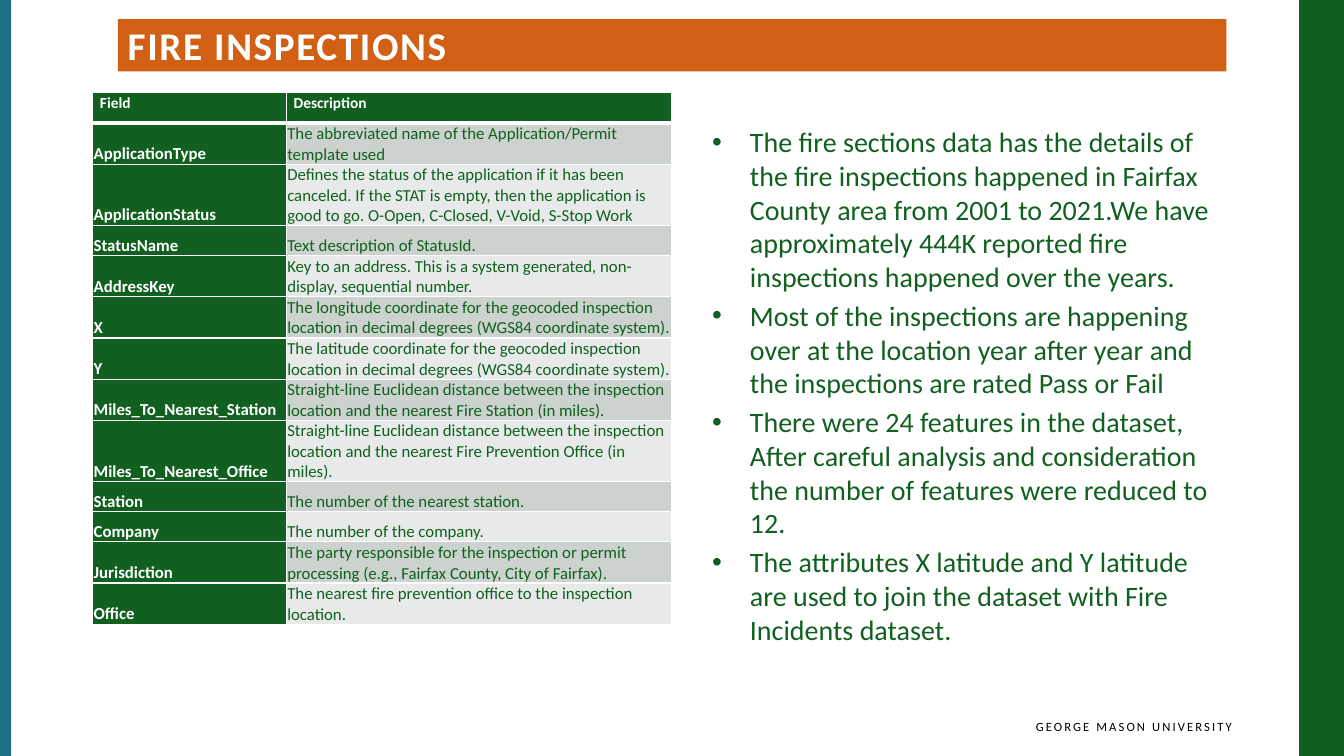
"""Build the Fire Inspections slide: field table on the left, findings on the right."""
from dataclasses import dataclass

from lxml.etree import SubElement
from pptx import Presentation
from pptx.dml.color import RGBColor
from pptx.enum.shapes import MSO_SHAPE
from pptx.enum.text import MSO_ANCHOR, PP_ALIGN
from pptx.oxml.ns import qn
from pptx.util import Cm, Pt

GREEN, TEAL, ORANGE, WHITE, BLACK = "116020", "1E6E86", "D26014", "FFFFFF", "000000"
BANDS = ("CCD2CD", "E7EAE8")


@dataclass
class Box:
    left: float
    top: float
    width: float
    height: float

    def place(self) -> tuple:
        return Cm(self.left), Cm(self.top), Cm(self.width), Cm(self.height)


@dataclass
class Style:
    size: float
    color: str
    bold: bool = False
    spacing: int = 0


@dataclass
class Field:
    name: str
    description: str


FIELDS = [
    Field("ApplicationType", "The abbreviated name of the Application/Permit template used"),
    Field("ApplicationStatus", "Defines the status of the application if it has been canceled. "
          "If the STAT is empty, then the application is good to go. "
          "O-Open, C-Closed, V-Void, S-Stop Work"),
    Field("StatusName", "Text description of StatusId."),
    Field("AddressKey", "Key to an address. This is a system generated, non-display, "
          "sequential number."),
    Field("X", "The longitude coordinate for the geocoded inspection location in decimal "
          "degrees (WGS84 coordinate system)."),
    Field("Y", "The latitude coordinate for the geocoded inspection location in decimal "
          "degrees (WGS84 coordinate system)."),
    Field("Miles_To_Nearest_Station", "Straight-line Euclidean distance between the inspection "
          "location and the nearest Fire Station (in miles)."),
    Field("Miles_To_Nearest_Office", "Straight-line Euclidean distance between the inspection "
          "location and the nearest Fire Prevention Office (in miles)."),
    Field("Station", "The number of the nearest station."),
    Field("Company", "The number of the company."),
    Field("Jurisdiction", "The party responsible for the inspection or permit processing "
          "(e.g., Fairfax County, City of Fairfax)."),
    Field("Office", "The nearest fire prevention office to the inspection location."),
]

FINDINGS = [
    "The fire sections data has the details of the fire inspections happened in Fairfax County "
    "area from 2001 to 2021.We have approximately 444K reported fire inspections happened over "
    "the years.",
    "Most of the inspections are happening over at the location year after year and the "
    "inspections are rated Pass or Fail",
    "There were 24 features in the dataset, After careful analysis and consideration the number "
    "of features were reduced to 12.",
    "The attributes X latitude and Y latitude are used to join the dataset with Fire Incidents "
    "dataset.",
]


def rgb(color: str) -> RGBColor:
    return RGBColor.from_string(color)


def add_run(p, text: str, style: Style) -> None:
    r = p.add_run()
    r.text = text
    r.font.name = "Calibri"
    r.font.size = Pt(style.size)
    r.font.bold = style.bold
    r.font.color.rgb = rgb(style.color)
    if style.spacing:
        r.font._element.set("spc", str(style.spacing))


def add_bar(s, box: Box, color: str):
    sp = s.shapes.add_shape(MSO_SHAPE.RECTANGLE, *box.place())
    sp.shadow.inherit = False
    sp.fill.solid()
    sp.fill.fore_color.rgb = rgb(color)
    sp.line.fill.background()
    return sp


def add_text(s, box: Box):
    tf = s.shapes.add_textbox(*box.place()).text_frame
    tf.word_wrap = True
    return tf


def add_title(s, text: str) -> None:
    tf = add_bar(s, Box(2.97, 0.48, 27.94, 1.32), ORANGE).text_frame
    tf.word_wrap = True
    tf.margin_top = tf.margin_bottom = 0
    tf.vertical_anchor = MSO_ANCHOR.MIDDLE
    p = tf.paragraphs[0]
    p.alignment = PP_ALIGN.LEFT
    add_run(p, text, Style(28, WHITE, True, 120))


def add_footer(s, text: str) -> None:
    tf = add_text(s, Box(17.22, 17.98, 13.82, 0.84))
    tf.margin_right = 0
    p = tf.paragraphs[0]
    p.alignment = PP_ALIGN.RIGHT
    add_run(p, text, Style(9, BLACK, spacing=150))


def add_findings(s, findings: list[str]) -> None:
    tf = add_text(s, Box(17.7, 3.02, 13.21, 16.05))
    for i, text in enumerate(findings):
        p = tf.add_paragraph() if i else tf.paragraphs[0]
        pPr = p._p.get_or_add_pPr()
        pPr.set("marL", str(Cm(0.95)))
        pPr.set("indent", str(-Cm(0.95)))
        SubElement(pPr, qn("a:buFont"), typeface="Arial")
        SubElement(pPr, qn("a:buChar"), char="•")
        p.space_before = Pt(4 if i else 0)
        add_run(p, text, Style(20, GREEN))


def set_border(cell, side: str, width: float) -> None:
    ln = SubElement(cell._tc.get_or_add_tcPr(), qn(f"a:ln{side}"), w=str(Pt(width)))
    SubElement(SubElement(ln, qn("a:solidFill")), qn("a:srgbClr"), val=WHITE)


def fill_cell(cell, text: str, row: int, fill: str, style: Style) -> None:
    header = row == 0
    for side in "LRTB":
        thick = (row, side) in ((0, "B"), (1, "T"))
        set_border(cell, side, 3 if thick else 1)
    cell.fill.solid()
    cell.fill.fore_color.rgb = rgb(fill)
    cell.margin_left = cell.margin_right = Cm(0.18 if header else 0.02)
    cell.margin_top = Cm(0 if header else 0.02)
    cell.margin_bottom = 0
    cell.vertical_anchor = MSO_ANCHOR.TOP if header else MSO_ANCHOR.BOTTOM
    p = cell.text_frame.paragraphs[0]
    if header:
        p.line_spacing = 1.07
    add_run(p, text, style)


def add_field_table(s, fields: list[Field]) -> None:
    rows = len(fields) + 1
    widths = (4.88, 9.7)
    box = Box(2.34, 2.34, sum(widths), 0.76 * rows)
    table = s.shapes.add_table(rows, len(widths), *box.place()).table
    table.horz_banding = False
    for column, width in zip(table.columns, widths):
        column.width = Cm(width)
    for col, text in enumerate(("Field", "Description")):
        fill_cell(table.cell(0, col), text, 0, GREEN, Style(11, WHITE, True))
    for row, field in enumerate(fields, 1):
        fill_cell(table.cell(row, 0), field.name, row, GREEN, Style(12, WHITE, True))
        fill_cell(table.cell(row, 1), field.description, row, BANDS[(row - 1) % 2],
                  Style(12, GREEN))


def main() -> None:
    prs = Presentation()
    prs.slide_width, prs.slide_height = Cm(33.87), Cm(19.05)
    s = prs.slides.add_slide(prs.slide_layouts[6])
    add_bar(s, Box(32.74, 0, 1.13, 19.05), GREEN)
    add_bar(s, Box(0, 0, 0.28, 19.05), TEAL)
    add_footer(s, "GEORGE MASON UNIVERSITY")
    add_title(s, "FIRE INSPECTIONS")
    add_findings(s, FINDINGS)
    add_field_table(s, FIELDS)
    prs.save("out.pptx")


if __name__ == "__main__":
    main()
